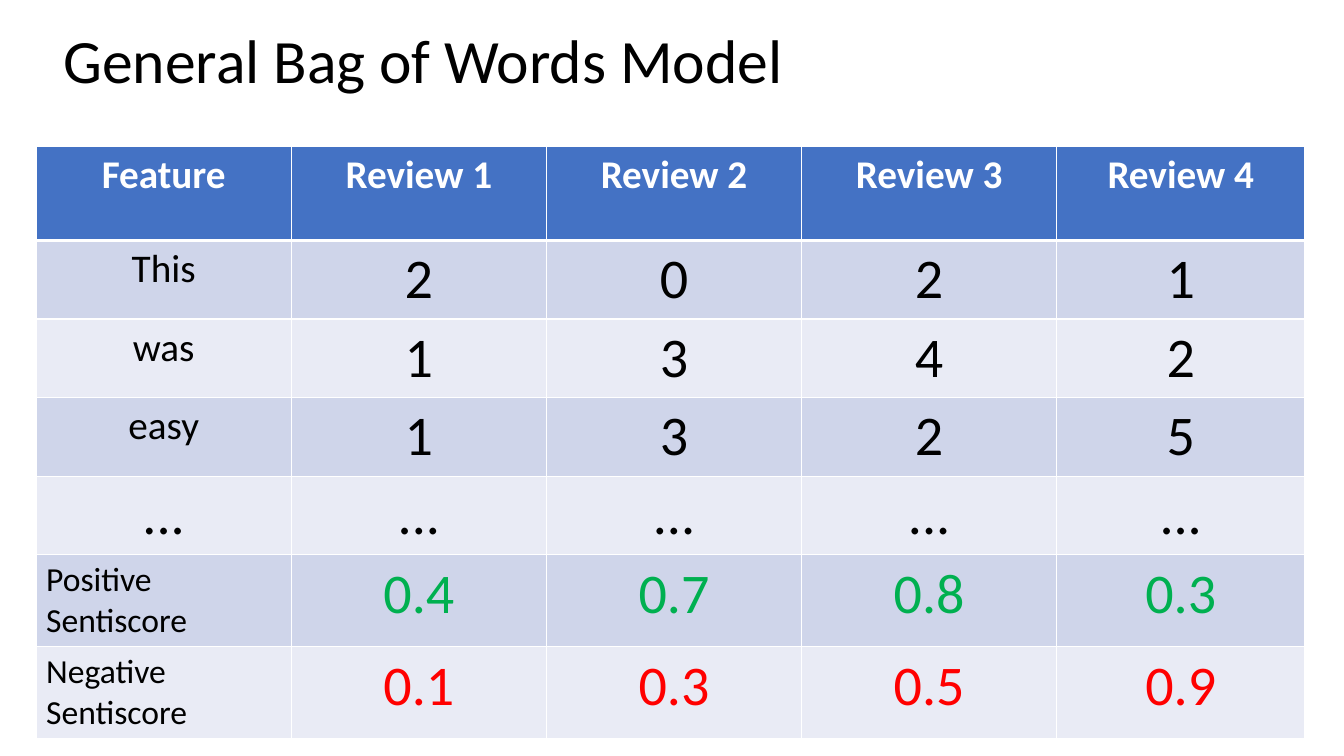
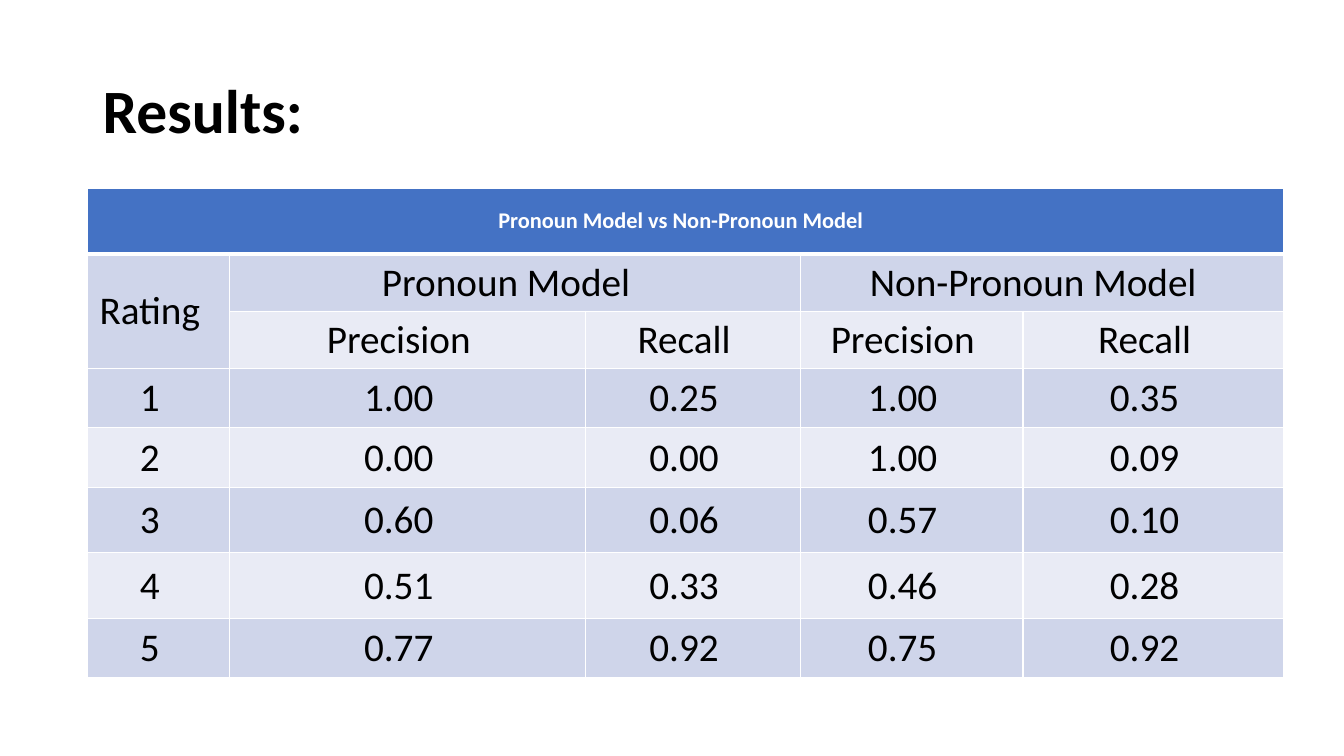
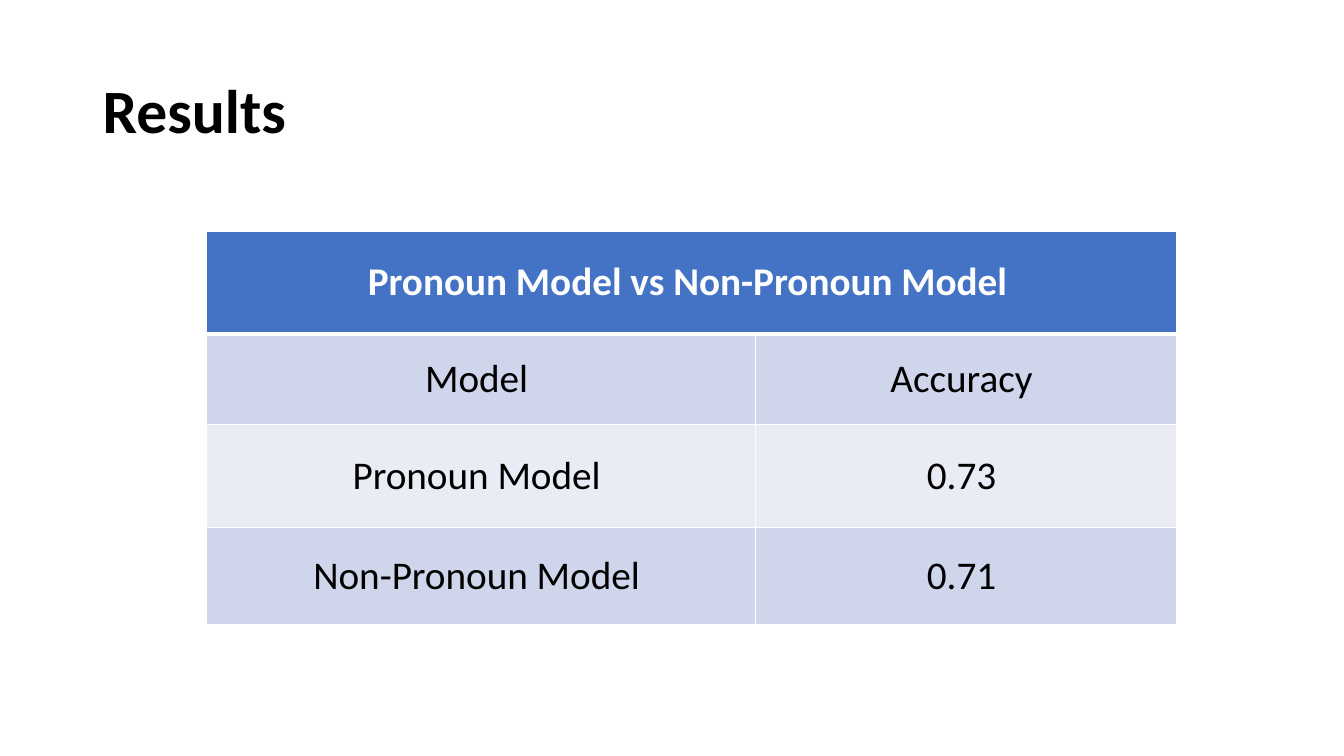
import dataclasses

import pptx
import pptx.dml.color
import pptx.enum.text
import pptx.oxml
import pptx.oxml.ns
import pptx.util

Cm = pptx.util.Cm
Pt = pptx.util.Pt
ALIGN = pptx.enum.text.PP_ALIGN
ANCHOR = pptx.enum.text.MSO_ANCHOR


@dataclasses.dataclass(frozen=True)
class Theme:
    font: str = "Calibri"
    text: str = "000000"
    white: str = "FFFFFF"
    header: str = "4472C4"
    bands: tuple = ("E9EBF5", "CFD5EA")
    positive: str = "00B050"
    negative: str = "FF0000"
    title_size: int = 44
    number_size: int = 40
    body_size: int = 28
    label_size: int = 24
    caption_size: int = 16
    grid_line: int = 1
    header_line: int = 3


THEME = Theme()


@dataclasses.dataclass(frozen=True)
class CellStyle:
    """Text look of a cell; trail is extra right margin in ems."""
    size: int = THEME.body_size
    color: str = THEME.text
    bold: bool = False
    align: ALIGN = ALIGN.CENTER
    anchor: ANCHOR = ANCHOR.MIDDLE
    trail: float = 0


def format_runs(para, size, color, bold):
    for span in para.runs:
        span.font.name = THEME.font
        span.font.size = Pt(size)
        span.font.bold = bold
        span.font.color.rgb = pptx.dml.color.RGBColor.from_string(color)


def add_title(slide, text, left, top, width, height, bold):
    box = slide.shapes.add_textbox(Cm(left), Cm(top), Cm(width), Cm(height))
    frame = box.text_frame
    frame.word_wrap = True
    frame.vertical_anchor = ANCHOR.MIDDLE
    para = frame.paragraphs[0]
    para.text = text
    para.line_spacing = 0.9
    format_runs(para, THEME.title_size, THEME.text, bold)


def add_results_title(slide, text):
    add_title(slide, text, 2.34, 1.02, 29.21, 3.68, True)


def set_borders(cell, top, bottom):
    """Draw white cell borders; must run before the cell is filled."""
    properties = cell._tc.get_or_add_tcPr()
    grid = THEME.grid_line
    for side, width in (("L", grid), ("R", grid), ("T", top), ("B", bottom)):
        properties.append(pptx.oxml.parse_xml(
            f'<a:ln{side} {pptx.oxml.ns.nsdecls("a")} w="{Pt(width)}">'
            f'<a:solidFill><a:srgbClr val="{THEME.white}"/></a:solidFill>'
            f'</a:ln{side}>'))


def paint_cell(cell, row):
    set_borders(cell,
                THEME.header_line if row == 1 else THEME.grid_line,
                THEME.header_line if row == 0 else THEME.grid_line)
    color = THEME.bands[row % 2] if row else THEME.header
    cell.fill.solid()
    cell.fill.fore_color.rgb = pptx.dml.color.RGBColor.from_string(color)


def write_cell(cell, text, style):
    cell.text = text
    cell.vertical_anchor = style.anchor
    cell.margin_right += Pt(style.trail * style.size)
    para = cell.text_frame.paragraphs[0]
    para.alignment = style.align
    format_runs(para, style.size, style.color, style.bold)


def add_grid(slide, left, top, widths, heights, texts, style_at, merges=()):
    """Add a banded table; None marks a cell covered by a merge."""
    table = slide.shapes.add_table(
        len(heights), len(widths), Cm(left), Cm(top),
        Cm(sum(widths)), Cm(sum(heights))).table
    for column, width in zip(table.columns, widths):
        column.width = Cm(width)
    for line, height in zip(table.rows, heights):
        line.height = Cm(height)
    for first, last in merges:
        table.cell(*first).merge(table.cell(*last))
    for row, line in enumerate(texts):
        for column, text in enumerate(line):
            cell = table.cell(row, column)
            paint_cell(cell, row)
            if text is not None:
                write_cell(cell, text, style_at(row, column))


def bag_of_words_style(row, column):
    if row == 0:
        return CellStyle(color=THEME.white, bold=True, anchor=ANCHOR.TOP)
    if column == 0 and row >= 5:
        return CellStyle(THEME.label_size, align=ALIGN.LEFT, anchor=ANCHOR.TOP)
    if column == 0 and row <= 3:
        return CellStyle(anchor=ANCHOR.TOP)
    color = {5: THEME.positive, 6: THEME.negative}.get(row, THEME.text)
    return CellStyle(THEME.number_size, color, anchor=ANCHOR.TOP)


def results_style(header_size, trail):
    header = CellStyle(header_size, THEME.white, True, trail=trail)
    body = CellStyle(trail=trail)
    return lambda row, column: body if row else header


def build_bag_of_words(slide):
    add_title(slide, "General Bag of Words Model", 1.35, 0.38, 30.2, 2.44, False)
    texts = [
        ["Feature"] + [f"Review {number}" for number in range(1, 5)],
        ["This", "2", "0", "2", "1"],
        ["was", "1", "3", "4", "2"],
        ["easy", "1", "3", "2", "5"],
        ["..."] * 5,
        ["Positive Sentiscore", "0.4", "0.7", "0.8", "0.3"],
        ["Negative Sentiscore", "0.1", "0.3", "0.5", "0.9"],
    ]
    add_grid(slide, 0.91, 3.68, [6.43] * 4 + [6.25],
             [2.38] + [1.98] * 4 + [2.32] * 2, texts, bag_of_words_style)


def build_precision_recall(slide):
    add_results_title(slide, "Results:")
    texts = [
        ["Pronoun Model vs Non-Pronoun Model"] + [None] * 4,
        ["Rating", "Pronoun Model", None, "Non-Pronoun Model", None],
        [None] + ["Precision", "Recall"] * 2,
        ["1", "1.00", "0.25", "1.00", "0.35"],
        ["2", "0.00", "0.00", "1.00", "0.09"],
        ["3", "0.60", "0.06", "0.57", "0.10"],
        ["4", "0.51", "0.33", "0.46", "0.28"],
        ["5", "0.77", "0.92", "0.75", "0.92"],
    ]
    merges = [((0, 0), (0, 4)), ((1, 0), (2, 0)),
              ((1, 1), (1, 2)), ((1, 3), (1, 4))]
    add_grid(slide, 2.21, 4.75, [3.58, 8.97, 5.41, 5.61, 6.58],
             [1.65, 1.42, 1.42, 1.5, 1.5, 1.65, 1.65, 1.5], texts,
             results_style(THEME.caption_size, 0.46), merges)


def build_accuracy(slide):
    add_results_title(slide, "Results")
    texts = [
        ["Pronoun Model vs Non-Pronoun Model", None],
        ["Model", "Accuracy"],
        ["Pronoun Model", "0.73"],
        ["Non-Pronoun Model", "0.71"],
    ]
    add_grid(slide, 5.21, 5.82, [13.82, 10.62], [2.59, 2.29, 2.59, 2.44], texts,
             results_style(THEME.body_size, 0.22), [((0, 0), (0, 1))])


def main():
    deck = pptx.Presentation()
    deck.slide_width, deck.slide_height = Cm(33.87), Cm(19.05)
    blank = deck.slide_layouts[6]
    for build in (build_bag_of_words, build_precision_recall, build_accuracy):
        build(deck.slides.add_slide(blank))
    deck.save("out.pptx")


if __name__ == "__main__":
    main()
